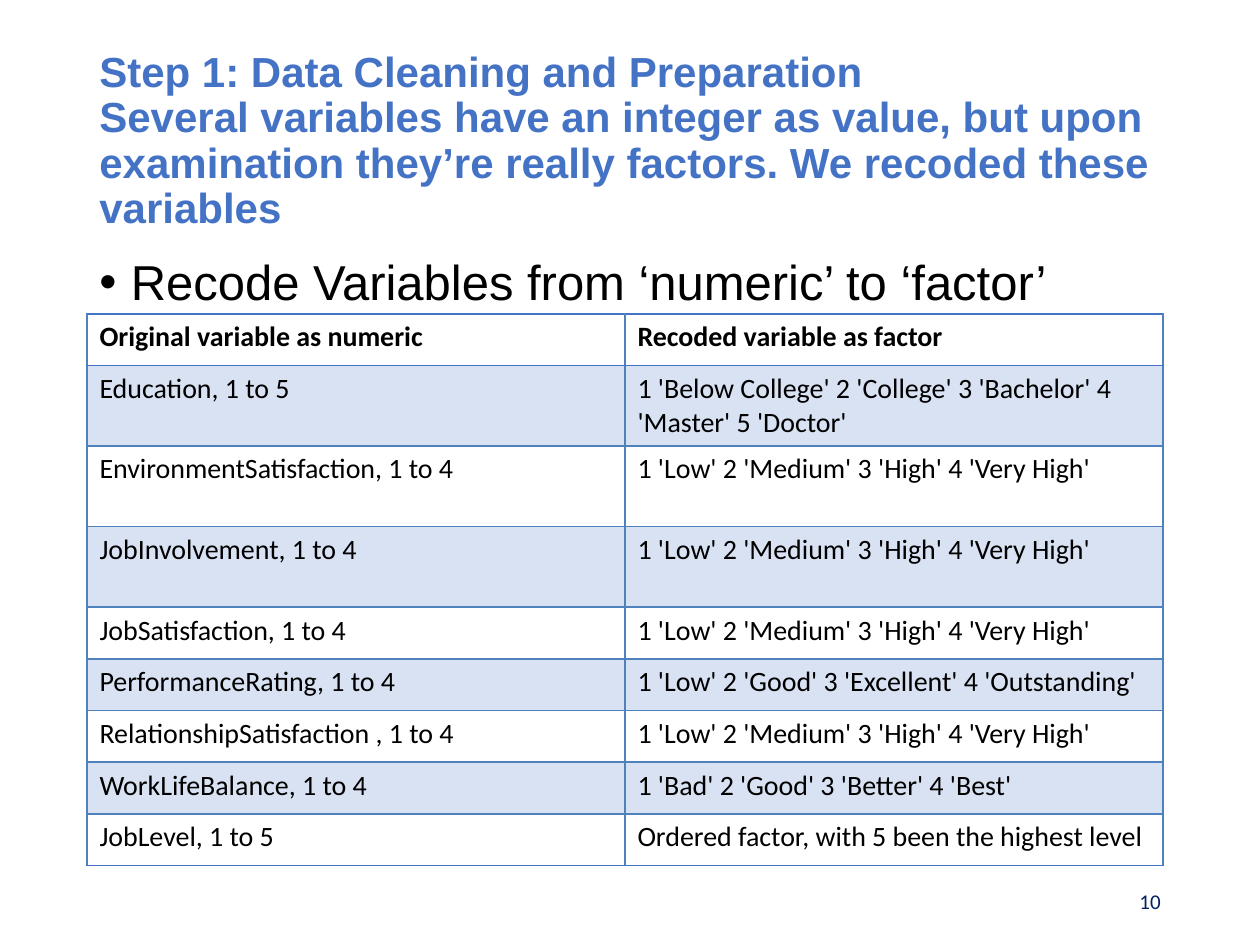
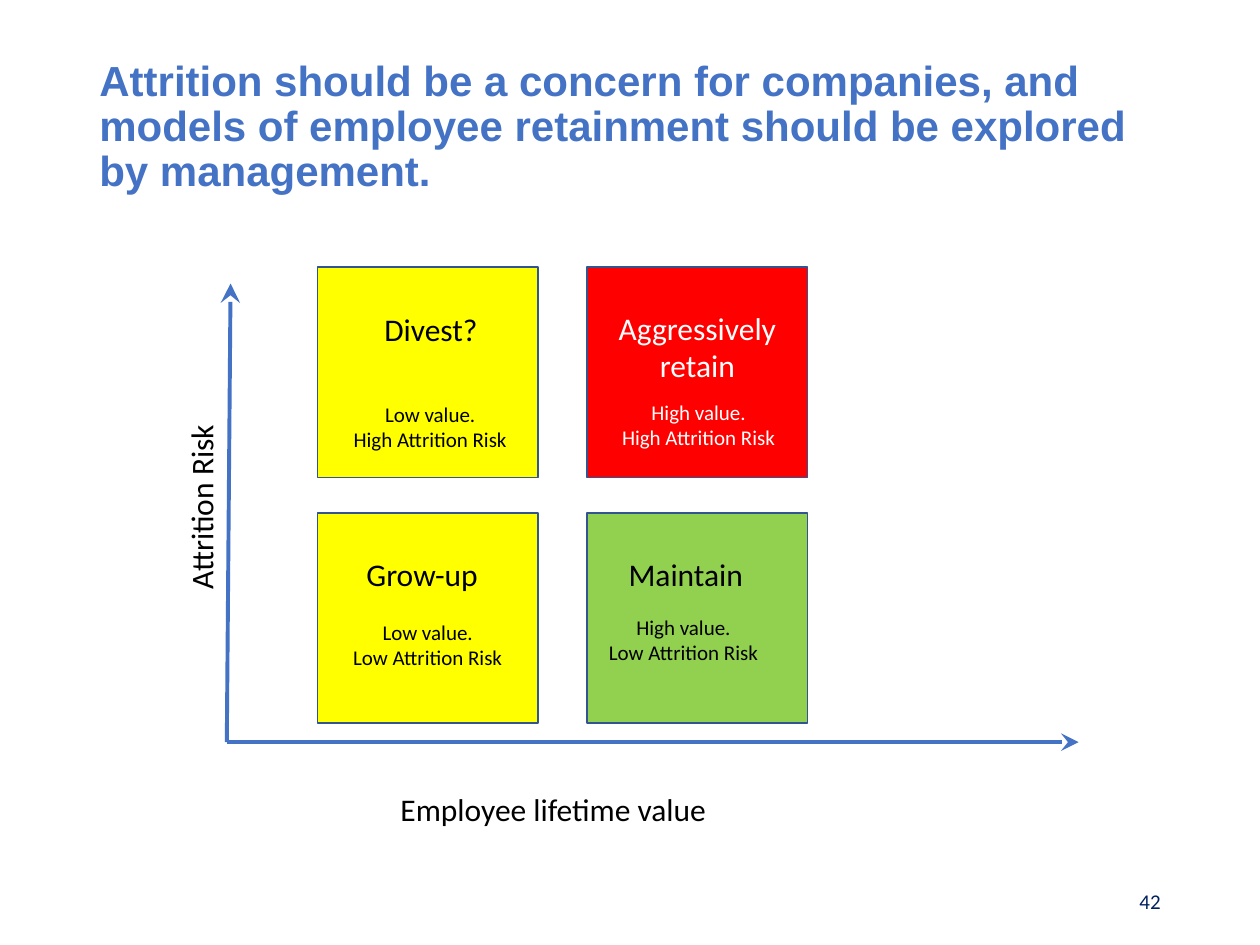
from lxml.etree import SubElement
from pptx import Presentation
from pptx.dml.color import RGBColor
from pptx.enum.shapes import MSO_CONNECTOR, MSO_SHAPE
from pptx.enum.text import MSO_ANCHOR, MSO_AUTO_SIZE, PP_ALIGN
from pptx.oxml.ns import qn
from pptx.util import Emu, Pt

PX = 9144
BLUE, BLACK, WHITE, NAVY = "4472C4", "000000", "FFFFFF", "002060"
YELLOW, RED, GREEN, OUTLINE = "FFFF00", "FF0000", "92D050", "325491"
LIGHT_STYLE = "{3C2FFA5D-87B4-456A-9821-1D502468CF0F}"
LEFT, CENTER, RIGHT = PP_ALIGN.LEFT, PP_ALIGN.CENTER, PP_ALIGN.RIGHT

LEVELS = "1 'Low' 2 'Medium' 3 'High' 4 'Very High'"
RECODED = [
    ("Original variable as numeric", "Recoded variable as factor"),
    ("Education, 1 to 5", "1 'Below College' 2 'College' 3 'Bachelor' 4 'Master' 5 'Doctor'"),
    ("EnvironmentSatisfaction, 1 to 4", LEVELS),
    ("JobInvolvement, 1 to 4", LEVELS),
    ("JobSatisfaction, 1 to 4", LEVELS),
    ("PerformanceRating, 1 to 4", "1 'Low' 2 'Good' 3 'Excellent' 4 'Outstanding'"),
    ("RelationshipSatisfaction , 1 to 4", LEVELS),
    ("WorkLifeBalance, 1 to 4", "1 'Bad' 2 'Good' 3 'Better' 4 'Best'"),
    ("JobLevel, 1 to 5", "Ordered factor, with 5 been the highest level"),
]
TALL_ROWS = (1, 2, 3)

QUADRANTS = [
    (0, 0, YELLOW, BLACK, "Divest?", (281, 241, 122, 41), CENTER,
     "Low value.\nHigh Attrition Risk", (265, 314)),
    (0, 1, YELLOW, BLACK, "Grow-up", (281, 436, 122, 40), LEFT,
     "Low value.\nLow Attrition Risk", (263, 487)),
    (1, 0, RED, WHITE, "Aggressively retain", (466, 240, 175, 71), CENTER,
     "High value.\nHigh Attrition Risk", (478, 312)),
    (1, 1, GREEN, BLACK, "Maintain", (489, 436, 130, 40), LEFT,
     "High value.\nLow Attrition Risk", (466, 483)),
]


def px(*lengths):
    return [Emu(n * PX) for n in lengths]


def rgb(color):
    return RGBColor.from_string(color)


class Deck:
    def __init__(self):
        self.prs = Presentation()
        self.prs.slide_width, self.prs.slide_height = px(1000, 750)
        self.s = None

    def slide(self, title, title_top, number):
        self.s = self.prs.slides.add_slide(self.prs.slide_layouts[6])
        self.text(number, (706, 695, 225, 40), 12, NAVY, RIGHT, anchor=MSO_ANCHOR.MIDDLE)
        tf = self.text(title, (69, title_top, 862, 145), 24, BLUE, bold=True,
                       name="Arial", anchor=MSO_ANCHOR.MIDDLE)
        tf.paragraphs[0].line_spacing = 0.9
        tf.paragraphs[0].space_after = Pt(24)

    def font(self, r, size, color, bold=False, name="Calibri"):
        f = r.font
        f.size, f.bold, f.name = Pt(size), bold, name
        f.color.rgb = rgb(color)

    def text(self, text, box, size, color=BLACK, align=LEFT, bold=False,
             name="Calibri", anchor=MSO_ANCHOR.TOP, rotation=0, grow=False):
        sp = self.s.shapes.add_textbox(*px(*box))
        sp.rotation = rotation
        tf = sp.text_frame
        tf.word_wrap = True
        tf.vertical_anchor = anchor
        if grow:
            tf.auto_size = MSO_AUTO_SIZE.SHAPE_TO_FIT_TEXT
        tf.text = text
        for p in tf.paragraphs:
            p.alignment = align
            for r in p.runs:
                self.font(r, size, color, bold, name)
        return tf

    def label(self, text, box, size=18, color=BLACK, align=LEFT, rotation=0):
        self.text(text, box, size, color, align, rotation=rotation, grow=True)

    def bullet(self, text, box):
        p = self.text(text, box, 28, name="Arial").paragraphs[0]
        p.line_spacing = 0.9
        pPr = p._p.get_or_add_pPr()
        indent, = px(25)
        pPr.set("marL", str(indent))
        pPr.set("indent", str(-indent))
        SubElement(pPr, qn("a:buFont"), typeface="Arial")
        SubElement(pPr, qn("a:buChar"), char="•")

    def rect(self, box, fill):
        sp = self.s.shapes.add_shape(MSO_SHAPE.RECTANGLE, *px(*box))
        sp.shadow.inherit = False
        sp.fill.solid()
        sp.fill.fore_color.rgb = rgb(fill)
        sp.line.color.rgb = rgb(OUTLINE)
        sp.line.width = Pt(1)

    def arrow(self, start, end, width):
        c = self.s.shapes.add_connector(MSO_CONNECTOR.STRAIGHT, *px(*start, *end))
        c.line.color.rgb = rgb(BLUE)
        c.line.width = Pt(width)
        SubElement(c.line._get_or_add_ln(), qn("a:tailEnd"), type="stealth", w="lg", len="lg")
        SubElement(c._element.spPr, qn("a:effectLst"))

    def border(self, cell, side):
        ln = SubElement(cell._tc.get_or_add_tcPr(), qn(f"a:ln{side}"), w=str(Pt(1)))
        SubElement(SubElement(ln, qn("a:solidFill")), qn("a:srgbClr"), val=BLUE)

    def cell(self, cell, text, row, last):
        cell.text = text
        self.font(cell.text_frame.paragraphs[0].runs[0], 16, BLACK, row == 0)
        if row in (0, 1):
            self.border(cell, "T")
        if row in (0, last):
            self.border(cell, "B")
        if row % 2:
            cell.fill.solid()
            cell.fill.fore_color.rgb = rgb(BLUE)
            clr = cell._tc.tcPr.find(qn("a:solidFill")).find(qn("a:srgbClr"))
            SubElement(clr, qn("a:alpha"), val="20000")
        else:
            cell.fill.background()

    def table(self, rows, box, row_height, tall_height, tall_rows):
        t = self.s.shapes.add_table(len(rows), len(rows[0]), *px(*box)).table
        t._tbl.tblPr.find(qn("a:tableStyleId")).text = LIGHT_STYLE
        for i, row in enumerate(rows):
            t.rows[i].height, = px(tall_height if i in tall_rows else row_height)
            for j, text in enumerate(row):
                self.cell(t.cell(i, j), text, i, len(rows) - 1)


def main():
    d = Deck()
    d.slide("Step 1: Data Cleaning and Preparation\vSeveral variables have an integer "
            "as value, but upon examination they’re really factors. "
            "We recoded these variables", 40, "10")
    d.bullet("Recode Variables from ‘numeric’ to ‘factor’", (69, 200, 883, 476))
    d.table(RECODED, (69, 249, 854, 433), 41, 64, TALL_ROWS)

    d.slide("Attrition should be a concern for companies, and models of employee "
            "retainment should be explored by management.", 29, "42")
    origin = (180, 589)
    d.arrow(origin, (183, 225), 2.25)
    d.arrow(origin, (856, 589), 2)
    d.label("Employee lifetime value", (308, 622, 311, 40))
    d.label("Attrition Risk", (62, 360, 195, 40), rotation=270)
    for col, row, fill, color, name, name_box, align, note, note_at in QUADRANTS:
        d.rect((252 + 214 * col, 212 + 195 * row, 175, 167), fill)
        d.label(name, name_box, 18, color, align)
        d.label(note, (*note_at, 153, 50), 12, color, CENTER)
    d.prs.save("out.pptx")


if __name__ == "__main__":
    main()
